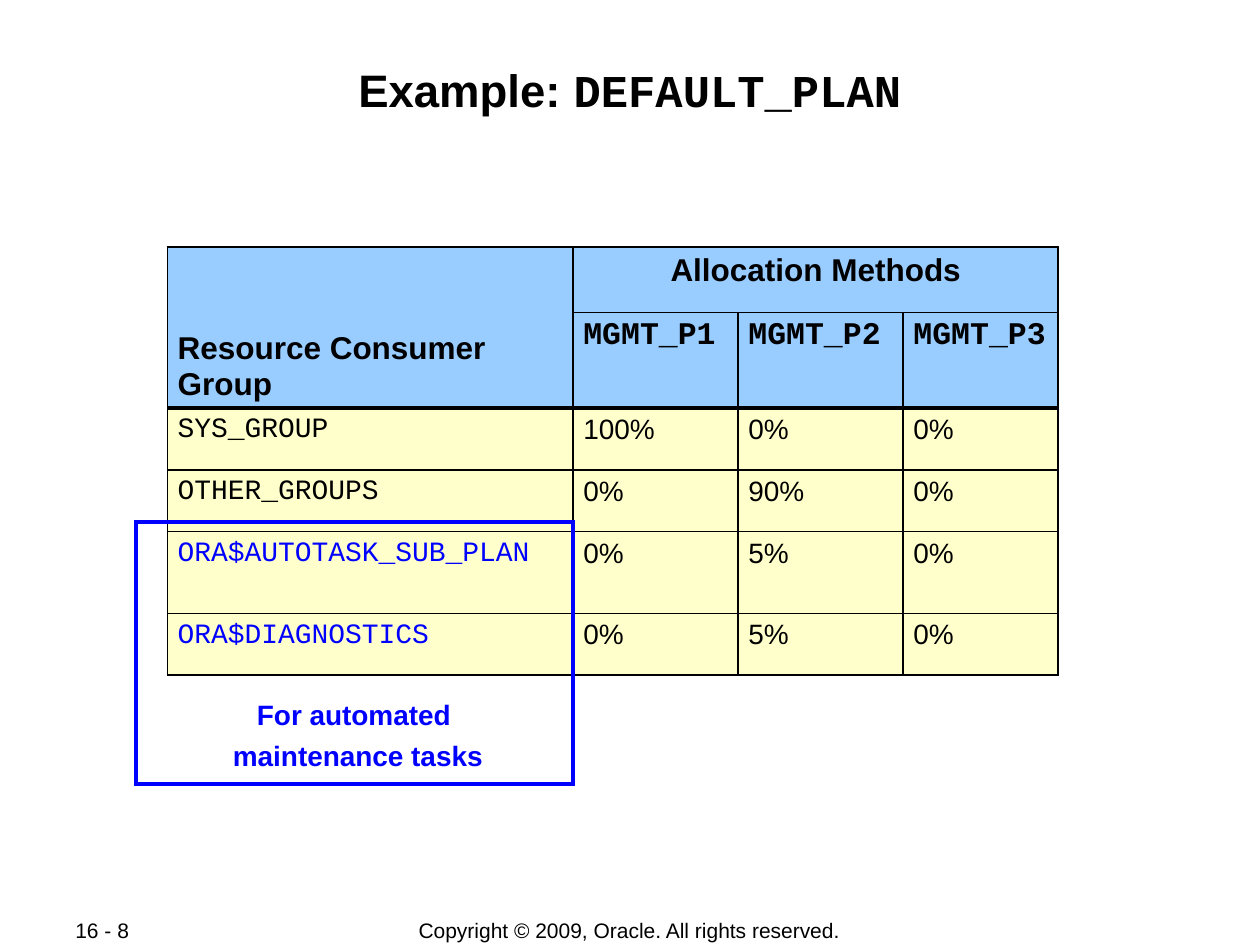
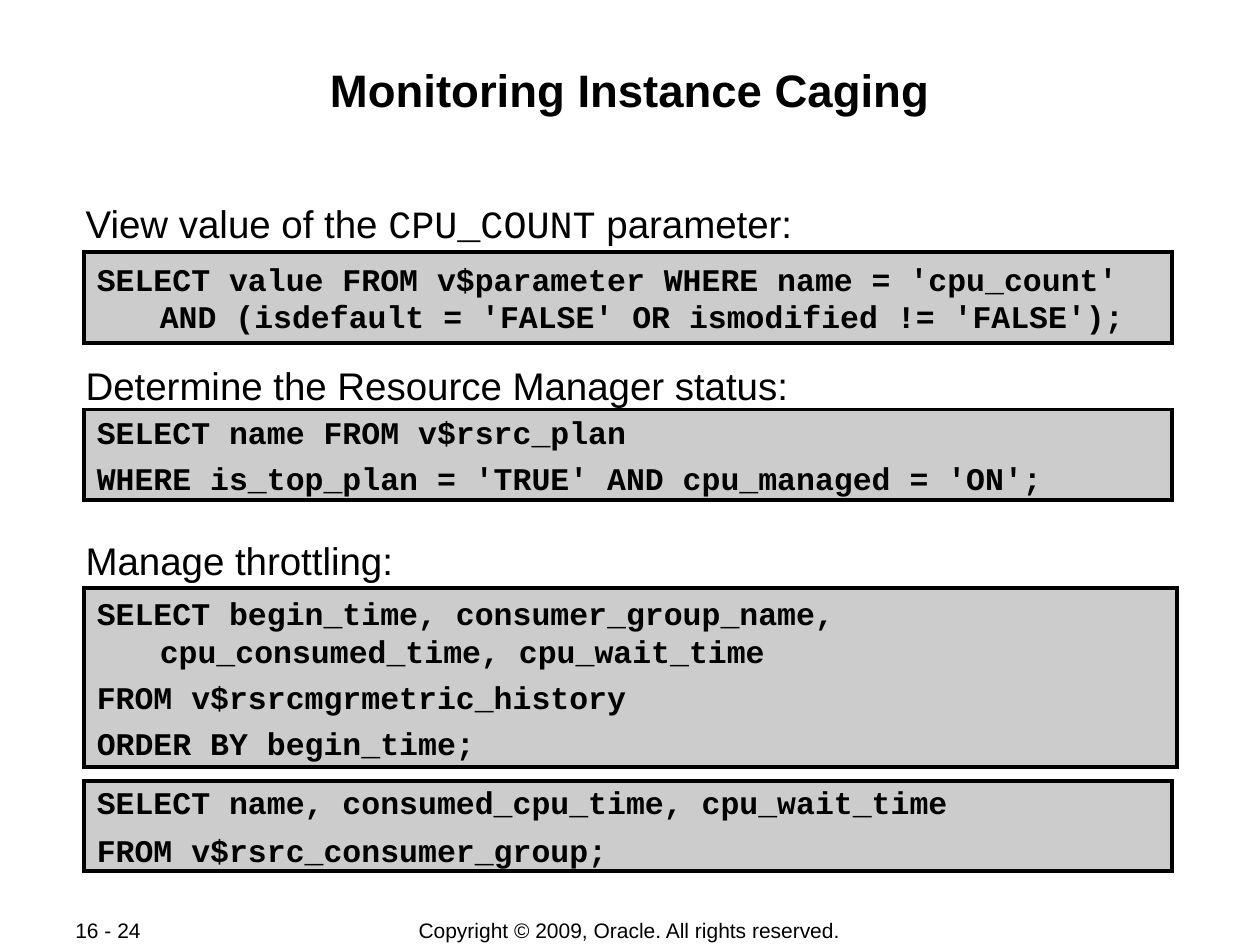
from lxml import etree
from pptx import Presentation
from pptx.dml.color import RGBColor
from pptx.enum.shapes import MSO_SHAPE
from pptx.enum.text import MSO_ANCHOR, PP_ALIGN
from pptx.oxml.ns import qn
from pptx.util import Inches, Pt

BLACK = RGBColor(0x00, 0x00, 0x00)
BLUE = RGBColor(0x00, 0x00, 0xFF)
HEADER_BLUE = RGBColor(0x99, 0xCC, 0xFF)
CREAM = RGBColor(0xFF, 0xFF, 0xCC)
CODE_GRAY = RGBColor(0xCC, 0xCC, 0xCC)
SANS, MONO = "Arial", "Courier New"

COPYRIGHT = "Copyright © 2009, Oracle. All rights reserved."

# A paragraph is a list of (text, font) runs, or a plain string.
PLAN_TITLE = [("Example: ", SANS), ("DEFAULT_PLAN", MONO)]
GROUP_HEADING = "Resource Consumer Group"
METHODS_HEADING = "Allocation Methods"
METHODS = ["MGMT_P1", "MGMT_P2", "MGMT_P3"]
GROUPS = [
    ("SYS_GROUP", "100%", "0%", "0%"),
    ("OTHER_GROUPS", "0%", "90%", "0%"),
    ("ORA$AUTOTASK_SUB_PLAN", "0%", "5%", "0%"),
    ("ORA$DIAGNOSTICS", "0%", "5%", "0%"),
]
COLUMN_WIDTHS = [3.22, 1.31, 1.31, 1.23]
ROW_HEIGHTS = [0.52, 0.76, 0.49, 0.49, 0.65, 0.49]
ROW_EDGES = [1.08, 0.75, 2.21, 1.08, 1.08, 1.08, 1.08]
COLUMN_EDGE = 1.08
MAINTENANCE_NOTE = ["For automated ", "maintenance tasks"]

CAGING_TITLE = "Monitoring Instance Caging"
# (top, caption)
CAPTIONS = [
    (1.58, [("View value of the ", SANS), ("CPU_COUNT", MONO), (" parameter:", SANS)]),
    (2.86, "Determine the Resource Manager status:"),
    (4.25, "Manage throttling:"),
]
# (top, width, height, space between lines, code lines)
QUERIES = [
    (2, 8.63, 0.72, 4.5, [
        "SELECT value FROM v$parameter WHERE name = 'cpu_count' "
        "AND (isdefault = 'FALSE' OR ismodified != 'FALSE');"]),
    (3.25, 8.63, 0.72, 4.5, [
        "SELECT name FROM v$rsrc_plan",
        "WHERE is_top_plan = 'TRUE' AND cpu_managed = 'ON';"]),
    (4.67, 8.67, 1.42, 4.5, [
        "SELECT begin_time, consumer_group_name, cpu_consumed_time, cpu_wait_time",
        "FROM v$rsrcmgrmetric_history",
        "ORDER BY begin_time;"]),
    (6.2, 8.63, 0.71, 5.6, [
        "SELECT name, consumed_cpu_time, cpu_wait_time",
        "FROM v$rsrc_consumer_group;"]),
]


def write(tf, paragraphs, size, font=SANS, color=BLACK, bold=False,
          align=PP_ALIGN.LEFT, gap=0, hanging=0):
    for i, content in enumerate(paragraphs):
        p = tf.add_paragraph() if i else tf.paragraphs[0]
        p.alignment = align
        if i and gap:
            p.space_before = Pt(gap)
        if hanging:
            pPr = p._p.get_or_add_pPr()
            pPr.set("marL", str(Inches(hanging)))
            pPr.set("indent", str(-Inches(hanging)))
        p.font.size, p.font.bold = Pt(size), bold
        p.font.color.rgb = color
        if isinstance(content, str):
            p.font.name = font
            p.add_run().text = content
        else:
            for text, run_font in content:
                r = p.add_run()
                r.text, r.font.name = text, run_font


def set_frame(tf, inset_x, inset_y, anchor=MSO_ANCHOR.TOP):
    tf.word_wrap = True
    tf.vertical_anchor = anchor
    tf.margin_left = tf.margin_right = Inches(inset_x)
    tf.margin_top = tf.margin_bottom = Inches(inset_y)


def add_text(s, box, paragraphs, size, inset=(0.01, 0.01),
             anchor=MSO_ANCHOR.TOP, **style):
    tf = s.shapes.add_textbox(*map(Inches, box)).text_frame
    set_frame(tf, *inset, anchor)
    write(tf, paragraphs, size, **style)


def add_box(s, box, line, fill=None):
    """Add a rectangle with a sharp-cornered outline."""
    sp = s.shapes.add_shape(MSO_SHAPE.RECTANGLE, *map(Inches, box))
    sp.shadow.inherit = False
    sp.line.color.rgb = line
    sp.line.width = Pt(2.25)
    etree.SubElement(sp._element.spPr.find(qn("a:ln")), qn("a:miter"), lim="800000")
    if fill is None:
        sp.fill.background()
    else:
        sp.fill.solid()
        sp.fill.fore_color.rgb = fill
    return sp


def new_slide(prs, title, number):
    """Add a slide with the shared footer and title."""
    s = prs.slides.add_slide(prs.slide_layouts[6])
    footer = dict(size=12, inset=(0.1, 0.05), anchor=MSO_ANCHOR.MIDDLE)
    add_text(s, (2.75, 7.28, 4.49, 0.21), [COPYRIGHT], align=PP_ALIGN.CENTER, **footer)
    add_text(s, (0.5, 7.28, 1.06, 0.2), [f"16 - {number}"], **footer)
    add_text(s, (0.67, 0.48, 8.66, 0.96), [title], 26, bold=True,
             align=PP_ALIGN.CENTER)
    return s


def set_borders(cell, widths):
    """Draw the left, right, top and bottom lines, widths in points."""
    tcPr = cell._tc.get_or_add_tcPr()
    for side, width in zip("LRTB", widths):
        ln = etree.SubElement(tcPr, qn(f"a:ln{side}"), w=str(Pt(width)))
        fill = etree.SubElement(ln, qn("a:solidFill"))
        etree.SubElement(fill, qn("a:srgbClr"), val=str(BLACK))


def add_plan_table(s):
    size = sum(COLUMN_WIDTHS), sum(ROW_HEIGHTS)
    table = s.shapes.add_table(len(ROW_HEIGHTS), len(COLUMN_WIDTHS),
                               *map(Inches, (1.33, 1.96, *size))).table
    table.first_row = table.horz_banding = False
    for column, width in zip(table.columns, COLUMN_WIDTHS):
        column.width = Inches(width)
    for row, height in zip(table.rows, ROW_HEIGHTS):
        row.height = Inches(height)
    table.cell(0, 0).merge(table.cell(1, 0))
    table.cell(0, 1).merge(table.cell(0, 3))

    rows = [(GROUP_HEADING, METHODS_HEADING, "", ""), ("", *METHODS), *GROUPS]
    for i, row in enumerate(rows):
        header = i < 2
        for j, text in enumerate(row):
            cell = table.cell(i, j)
            bottom = i + (cell.span_height if cell.is_merge_origin else 1)
            set_borders(cell, (COLUMN_EDGE, COLUMN_EDGE, ROW_EDGES[i], ROW_EDGES[bottom]))
            cell.fill.solid()
            cell.fill.fore_color.rgb = HEADER_BLUE if header else CREAM
            cell.margin_left = cell.margin_right = Inches(0.08)
            cell.margin_top = cell.margin_bottom = Inches(0.05)
            if not text:
                continue
            mono = i == 1 or (not header and j == 0)
            write(cell.text_frame, [text], 18 if header else 16,
                  font=MONO if mono else SANS,
                  color=BLUE if text.startswith("ORA$") else BLACK, bold=header,
                  align=PP_ALIGN.CENTER if text == METHODS_HEADING else PP_ALIGN.LEFT)
    table.cell(0, 0).vertical_anchor = MSO_ANCHOR.BOTTOM


def build_plan_slide(prs):
    s = new_slide(prs, PLAN_TITLE, 8)
    add_plan_table(s)
    add_box(s, (1.08, 4.14, 3.47, 2.08), BLUE)
    add_text(s, (1.75, 5.49, 2.18, 0.69), MAINTENANCE_NOTE, 16, inset=(0.02, 0.05),
             color=BLUE, bold=True, align=PP_ALIGN.CENTER, gap=4)


def build_caging_slide(prs):
    s = new_slide(prs, CAGING_TITLE, 24)
    for top, caption in CAPTIONS:
        add_text(s, (0.67, top, 8.66, 0.39), [caption], 22)
    for top, width, height, gap, code in QUERIES:
        tf = add_box(s, (0.67, top, width, height), BLACK, CODE_GRAY).text_frame
        set_frame(tf, 0.1, 0.01, MSO_ANCHOR.MIDDLE)
        write(tf, code, 18, font=MONO, bold=True, gap=gap, hanging=0.5)


def main():
    prs = Presentation()
    prs.slide_width, prs.slide_height = Inches(10), Inches(7.5)
    build_plan_slide(prs)
    build_caging_slide(prs)
    prs.save("out.pptx")


if __name__ == "__main__":
    main()
